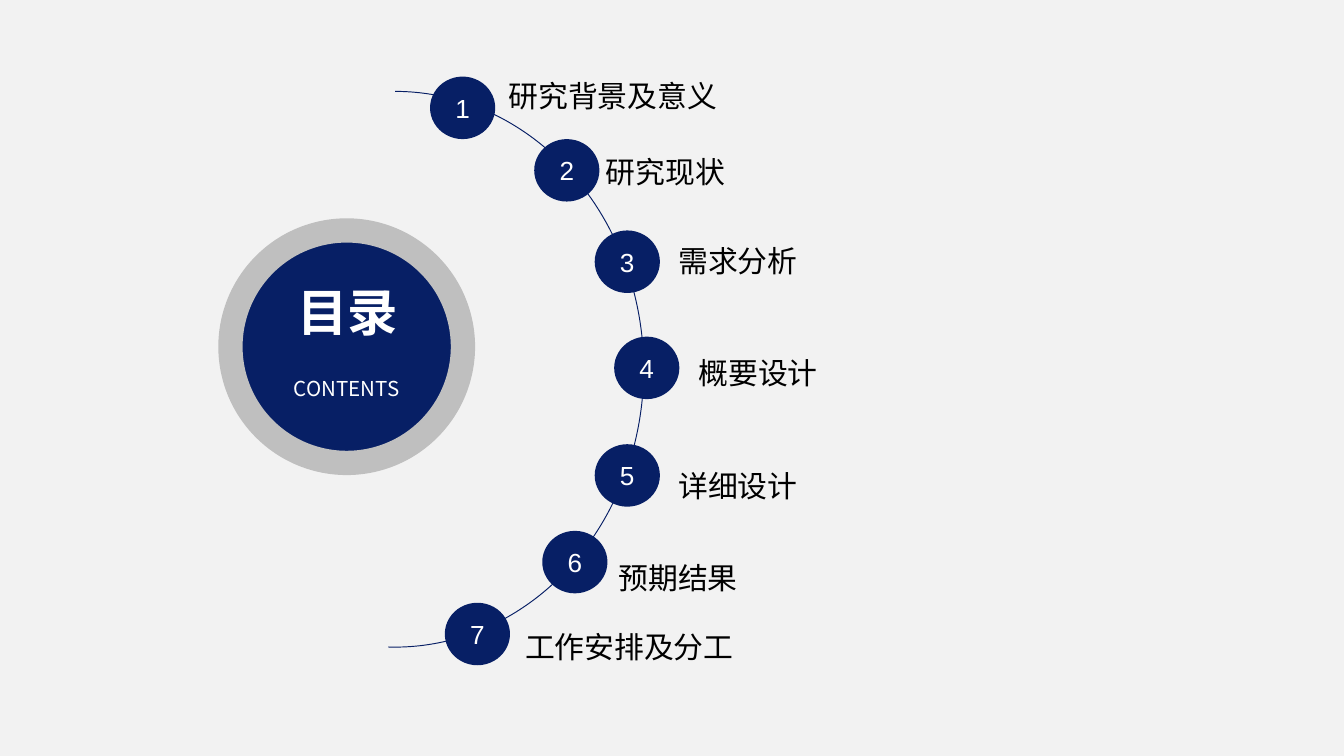
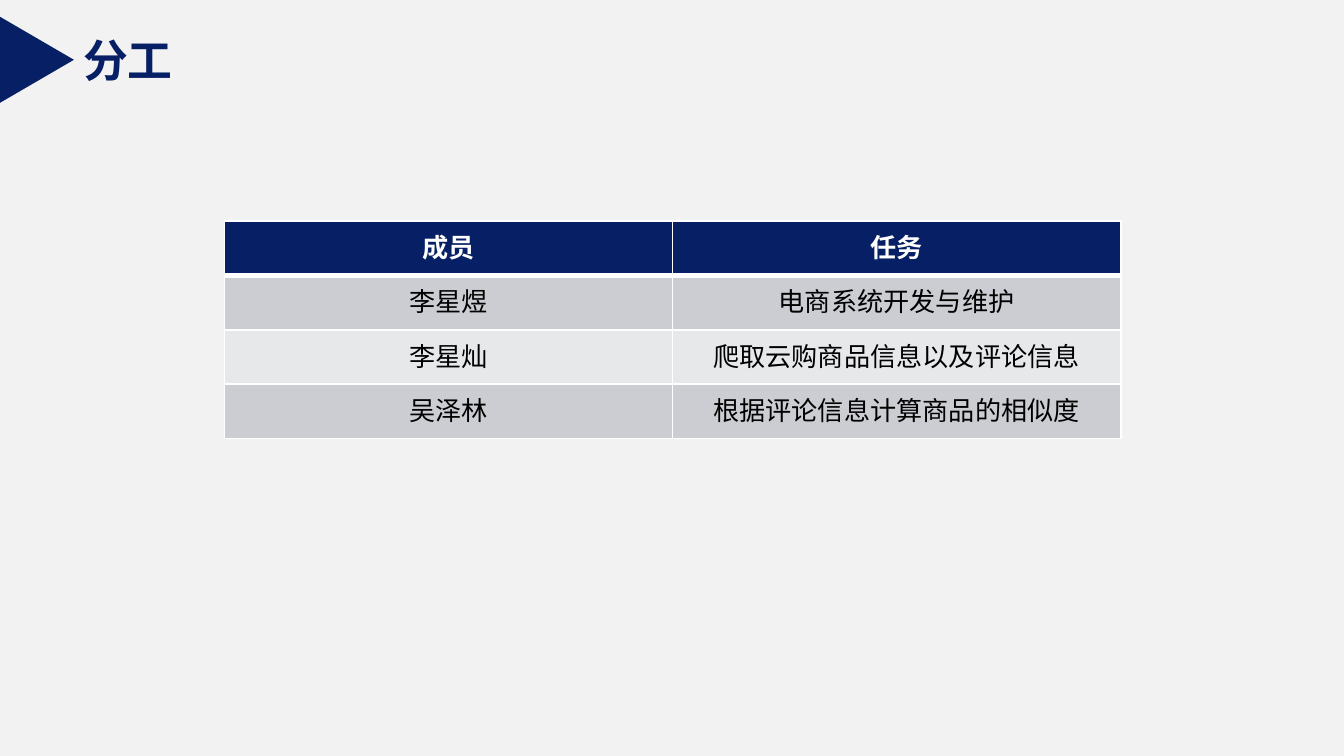
"""Build a contents slide and a task allocation slide."""
from lxml import etree
from pptx import Presentation
from pptx.dml.color import RGBColor
from pptx.enum.shapes import MSO_SHAPE
from pptx.enum.text import MSO_ANCHOR, MSO_AUTO_SIZE, PP_ALIGN
from pptx.oxml.ns import qn
from pptx.util import Pt

PX = 4572
COLORS = {"navy": "071F65", "ring": "BFBFBF", "page": "F2F2F2", "white": "FFFFFF",
          "black": "000000", "band": "CCCDD3", "light_band": "E7E8EA"}
RGB = {name: RGBColor.from_string(value) for name, value in COLORS.items()}
ARIAL, NOTO = "Arial", "Noto Sans CJK SC"
CENTER, LEFT = PP_ALIGN.CENTER, PP_ALIGN.LEFT
MIDDLE = MSO_ANCHOR.MIDDLE
GROW = MSO_AUTO_SIZE.SHAPE_TO_FIT_TEXT
ELLIPSE, ARC, TRIANGLE = MSO_SHAPE.OVAL, MSO_SHAPE.ARC, MSO_SHAPE.ISOSCELES_TRIANGLE
DOT = MSO_SHAPE.FLOWCHART_CONNECTOR


def add_text(frame, text, size, color, font=ARIAL, bold=False, align=LEFT):
    para = frame.paragraphs[0]
    para.alignment = align
    span = para.add_run()
    span.text = text
    span.font.size = Pt(size)
    span.font.bold = bold
    span.font.name = font
    span.font.color.rgb = RGB[color]
    etree.SubElement(span.font._element, qn("a:ea"), typeface=font)
    return para


def add_solid(page, kind, bounds):
    shape = page.shapes.add_shape(kind, *(value * PX for value in bounds))
    shape.shadow.inherit = False
    shape.fill.solid()
    shape.fill.fore_color.rgb = RGB["navy"]
    shape.line.fill.background()
    return shape


deck = Presentation()
deck.slide_width, deck.slide_height = 2000 * PX, 1125 * PX
contents, tasks = [deck.slides.add_slide(deck.slide_layouts[6]) for _ in range(2)]
for page in (contents, tasks):
    page.background.fill.solid()
    page.background.fill.fore_color.rgb = RGB["page"]

badge = add_solid(contents, ELLIPSE, (343, 343, 346, 346))
badge.line.color.rgb = RGB["ring"]
badge.line.width = Pt(13)
for bounds, text, size, bold in [
    ((363, 408, 308, 152), "目录", 27, True),
    ((352, 550, 328, 78), "CONTENTS", 11, False),
]:
    box = contents.shapes.add_textbox(*(value * PX for value in bounds))
    box.text_frame.word_wrap = True
    box.text_frame.auto_size = GROW
    add_text(box.text_frame, text, size, "white", NOTO, bold, CENTER)

arc = add_solid(contents, ARC, (218, 136, 740, 827))
arc.adjustments[0], arc.adjustments[1] = 162, 54.85
arc.fill.background()
arc.line.color.rgb = RGB["navy"]
arc.line.width = Pt(0.5)

CHAPTERS = [
    ((640, 114), (737, 90, 362, 152), True, "研究背景及意义"),
    ((795, 207), (882, 203, 488, 152), True, "研究现状"),
    ((885, 343), (990, 335, 448, 84), True, "需求分析"),
    ((914, 501), (1020, 502, 220, 152), False, "概要设计"),
    ((885, 661), (990, 670, 220, 152), False, "详细设计"),
    ((807, 790), (901, 807, 220, 152), False, "预期结果"),
    ((662, 897), (762, 910, 354, 152), False, "工作安排及分工"),
]
for number, (corner, bounds, wrap, title) in enumerate(CHAPTERS, start=1):
    dot = add_solid(contents, DOT, (*corner, 97, 93))
    dot.text_frame.vertical_anchor = MIDDLE
    add_text(dot.text_frame, str(number), 14, "white", align=CENTER)
    box = contents.shapes.add_textbox(*(value * PX for value in bounds))
    box.text_frame.word_wrap = wrap
    box.text_frame.auto_size = GROW
    add_text(box.text_frame, title, 16, "black").line_spacing = 1.3

heading = tasks.shapes.add_textbox(104 * PX, 39 * PX, 176 * PX, 100 * PX)
heading.text_frame.word_wrap = False
heading.text_frame.auto_size = GROW
add_text(heading.text_frame, "分工", 24, "navy", bold=True).space_before = Pt(5)
marker = add_solid(tasks, TRIANGLE, (-9, 34, 128, 110))
marker.rotation = 90

ROWS = [
    ("成员", "任务"),
    ("李星煜", "电商系统开发与维护"),
    ("李星灿", "爬取云购商品信息以及评论信息"),
    ("吴泽林", "根据评论信息计算商品的相似度"),
]
ROW_FILLS = ["navy", "band", "light_band", "band"]
table = tasks.shapes.add_table(4, 2, 334 * PX, 329 * PX, 1334 * PX, 324 * PX).table
for row, (texts, fill) in enumerate(zip(ROWS, ROW_FILLS)):
    header = row == 0
    edges = {"lnL": 1, "lnR": 1, "lnT": 3 if row == 1 else 1, "lnB": 3 if header else 1}
    for column, text in enumerate(texts):
        cell = table.cell(row, column)
        cell.vertical_anchor = MIDDLE
        properties = cell._tc.get_or_add_tcPr()
        for edge, width in edges.items():
            line = etree.SubElement(properties, qn(f"a:{edge}"), w=str(Pt(width)))
            paint = etree.SubElement(line, qn("a:solidFill"))
            etree.SubElement(paint, qn("a:srgbClr"), val=COLORS["white"])
        cell.fill.solid()
        cell.fill.fore_color.rgb = RGB[fill]
        add_text(cell.text_frame, text, 14, "white" if header else "black",
                 bold=header, align=CENTER)

deck.save("out.pptx")
